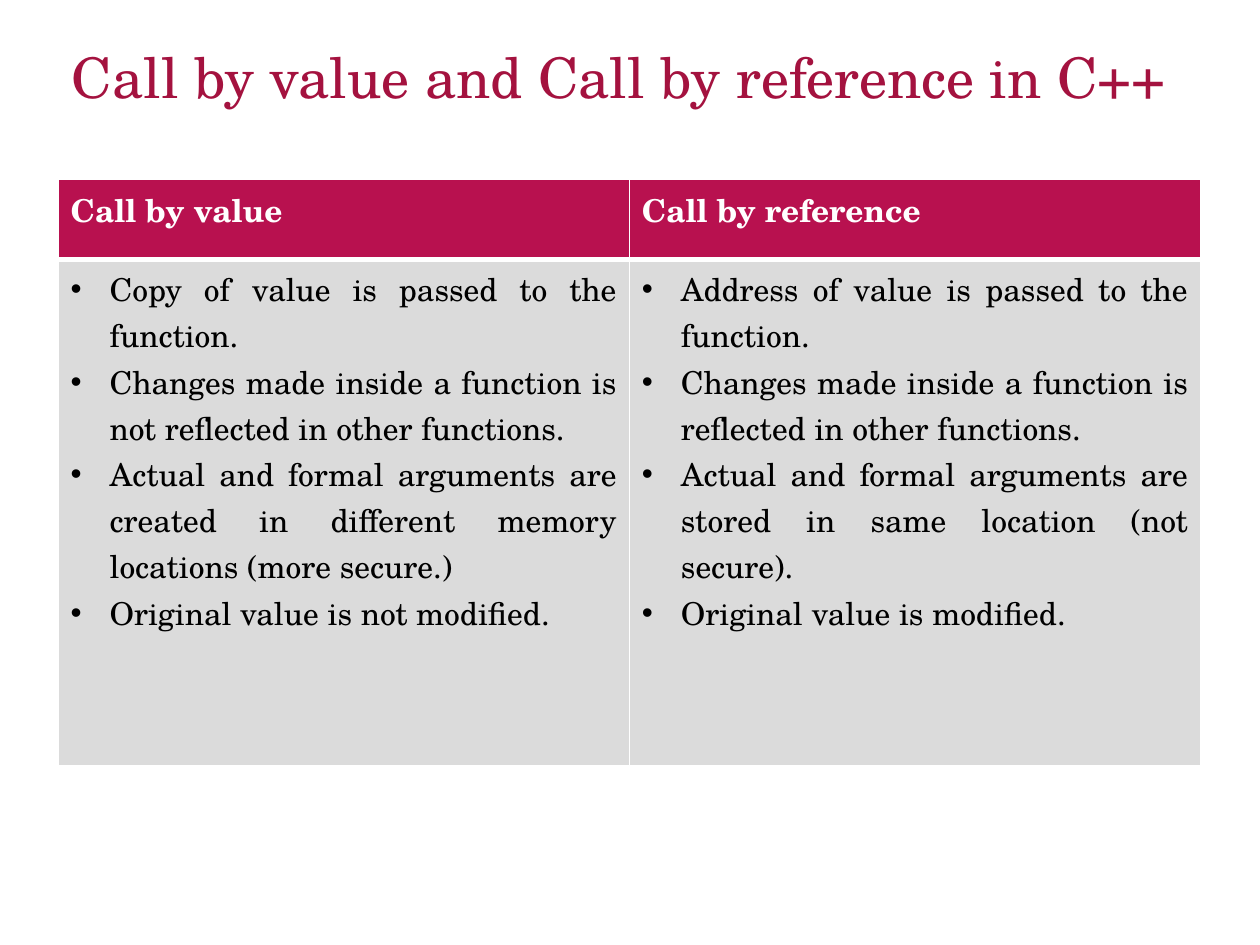
"""Build a slide that compares call by value with call by reference in C++."""
from dataclasses import dataclass
from lxml.etree import SubElement as Sub
from pptx import Presentation
from pptx.dml.color import RGBColor as RGB
from pptx.enum.text import MSO_ANCHOR as Anchor, MSO_AUTO_SIZE as Fit, PP_ALIGN as Align
from pptx.oxml import parse_xml
from pptx.oxml.ns import nsdecls, qn
from pptx.util import Inches, Pt


@dataclass
class Theme:
    font: str = "TeX Gyre Schola"
    title: str = "A4123F"
    head: str = "B8114F"
    body: str = "DBDBDB"
    ink: str = "000000"
    white: str = "FFFFFF"
    big: int = 32
    small: int = 18


def style(para, size, color, bold=False):
    font = para.font
    font.name, font.size, font.bold = theme.font, Pt(size), bold
    font.color.rgb = RGB.from_string(color)


def edge(cell, sides):
    for i, (side, width) in enumerate(sides.items()):
        cell._tc.get_or_add_tcPr().insert(i, parse_xml(
            f'<a:{side} {nsdecls("a")} w="{Pt(width)}"><a:solidFill>'
            f'<a:srgbClr val="{theme.white}"/></a:solidFill></a:{side}>'))


theme = Theme()
columns = {
    "Call by value": [
        "Copy of value is passed to the function.",
        "Changes made inside a function is not reflected in other functions.",
        "Actual and formal arguments are created in different memory locations (more secure.)",
        "Original value is not modified.",
    ],
    "Call by reference": [
        "Address of value is passed to the function.",
        "Changes made inside a function is reflected in other functions.",
        "Actual and formal arguments are stored in same location (not secure).",
        "Original value is modified.",
    ],
}

deck = Presentation()
deck.slide_width, deck.slide_height = Inches(10), Inches(7.5)
slide = deck.slides.add_slide(deck.slide_layouts[5])

title = slide.shapes.title
title.left, title.top = Inches(0.47), Inches(0.38)
title.width, title.height = Inches(9.19), Inches(0.51)
frame = title.text_frame
frame.text = "Call by value and Call by reference in C++"
frame.auto_size, frame.vertical_anchor = Fit.NONE, Anchor.MIDDLE
para = frame.paragraphs[0]
para.alignment, para.line_spacing = Align.LEFT, 0.9
style(para, theme.big, theme.title)

table = slide.shapes.add_table(
    2, 2, Inches(0.46), Inches(1.42), Inches(9.07), Inches(4.66)).table
table.horz_banding = False
for row, height in zip(table.rows, (0.64, 4.02)):
    row.height = Inches(height)

for col, (name, points) in enumerate(columns.items()):
    head, body = table.cell(0, col), table.cell(1, col)
    head.text, body.text = name, "\n".join(points)
    for cell, fill, ink in ((head, theme.head, theme.white), (body, theme.body, theme.ink)):
        cell.fill.solid()
        cell.fill.fore_color.rgb = RGB.from_string(fill)
        for para in cell.text_frame.paragraphs:
            para.alignment = Align.JUSTIFY
            style(para, theme.small, ink, cell is head)
    edge(head, {"lnL": 1, "lnR": 1, "lnT": 1, "lnB": 3})
    edge(body, {"lnL": 1, "lnR": 1, "lnT": 3, "lnB": 1})
    for para in body.text_frame.paragraphs:
        props = para._p.get_or_add_pPr()
        props.set("marL", str(Inches(0.31)))
        props.set("indent", str(Inches(-0.31)))
        bullet = Sub(props, qn("a:buFont"))
        bullet.set("typeface", "Arial")
        props.remove(bullet)
        mark = parse_xml(f'<a:buChar {nsdecls("a")} char="•"/>')
        props.find(qn("a:defRPr")).addprevious(bullet)
        props.find(qn("a:defRPr")).addprevious(mark)

deck.save("out.pptx")
